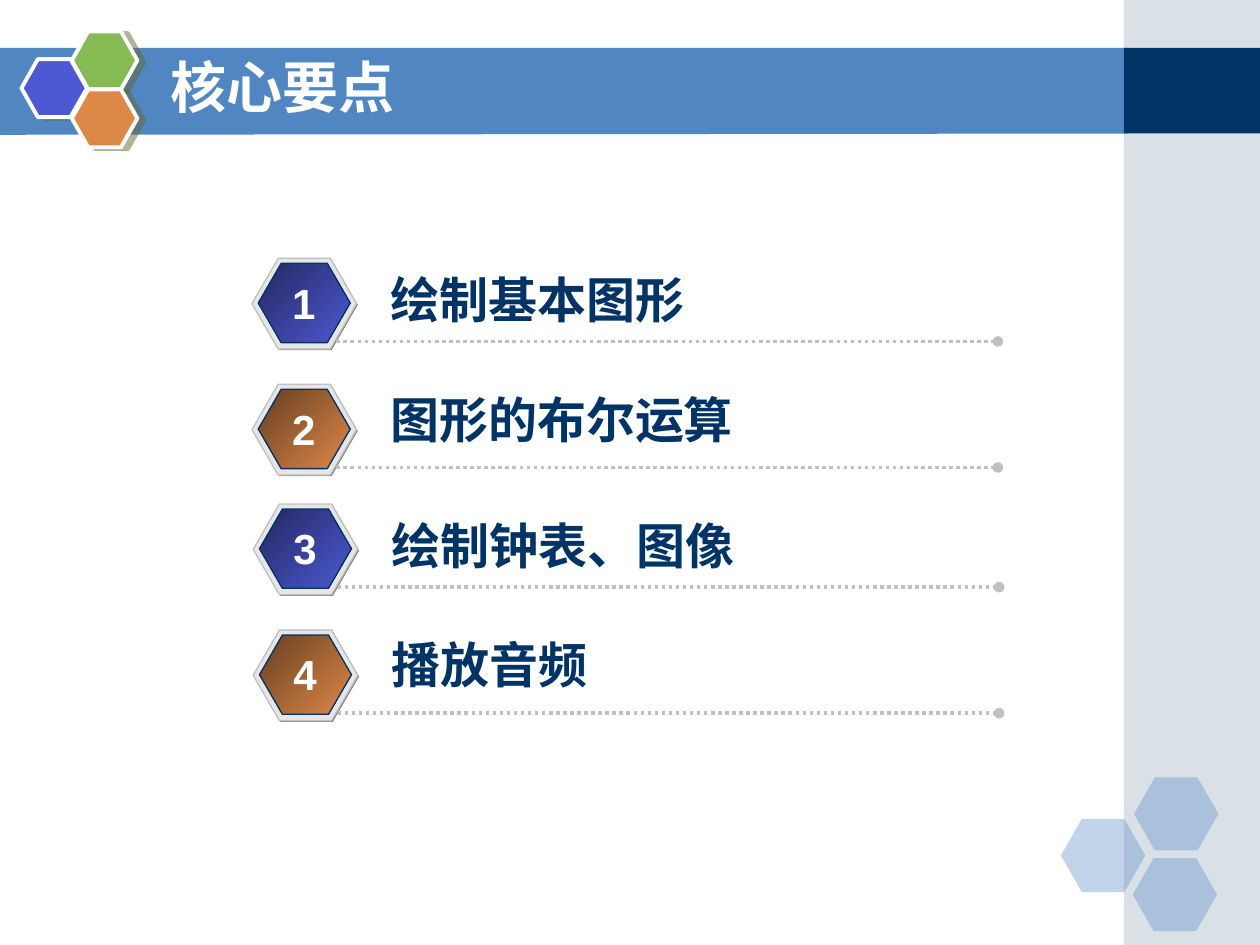
from lxml.etree import SubElement
from pptx import Presentation
from pptx.dml.color import RGBColor
from pptx.enum.dml import MSO_LINE
from pptx.enum.shapes import MSO_CONNECTOR, MSO_SHAPE
from pptx.enum.text import MSO_ANCHOR, PP_ALIGN
from pptx.oxml.ns import qn
from pptx.util import Pt

PX = 9144
NAVY, BLUE, WHITE, SILVER = "003366", "5086C2", "FFFFFF", "C0C0C0"
INDIGO, GREEN, ORANGE = "4C59D2", "85BA54", "DE8848"
ITEMS = ["绘制基本图形", "图形的布尔运算", "绘制钟表、图像", "播放音频"]
SPOTS = [(200, 205), (200, 305), (201, 400), (201, 500)]
SHADES = [("232961", INDIGO), ("673F21", ORANGE)]


def emu(*sizes):
    return [size * PX for size in sizes]


def color(code):
    return RGBColor.from_string(code)


def paint(shape, fill, alpha=100):
    shape.shadow.inherit = False
    shape.line.fill.background()
    shape.fill.solid()
    shape.fill.fore_color.rgb = color(fill)
    if alpha < 100:
        tint = shape.fill._xPr.find(qn("a:solidFill"))[0]
        SubElement(tint, qn("a:alpha"), val=str(alpha * 1000))


def edge(shape, code, width):
    shape.line.color.rgb = color(code)
    shape.line.width = Pt(width)


def add_box(shapes, box, fill, alpha=100):
    shape = shapes.add_shape(MSO_SHAPE.RECTANGLE, *emu(*box))
    paint(shape, fill, alpha)


def add_hex(shapes, box, fill, alpha=100, slant=0.289):
    shape = shapes.add_shape(MSO_SHAPE.HEXAGON, *emu(*box))
    shape.adjustments[0] = slant
    paint(shape, fill, alpha)
    return shape


def cast(shape):
    effects = shape._element.spPr.find(qn("a:effectLst"))
    drop = SubElement(effects, qn("a:outerShdw"), dist=str(Pt(4.1)),
                      dir="840000", algn="ctr", rotWithShape="0")
    tint = SubElement(drop, qn("a:srgbClr"), val="666633")
    SubElement(tint, qn("a:alpha"), val="50000")


def write(para, words, size, code, name="Arial"):
    para.text = words
    font = para.font
    font.size, font.bold, font.name = Pt(size), True, name
    font.color.rgb = color(code)


def add_text(shapes, box, words, size, code, wrap=True):
    frame = shapes.add_textbox(*emu(*box)).text_frame
    frame.word_wrap = wrap
    para = frame.paragraphs[0]
    para.alignment = PP_ALIGN.LEFT if wrap else PP_ALIGN.CENTER
    write(para, words, size, code)


def add_frame(shapes):
    pen = shapes.build_freeform(-1, 38, scale=PX)
    pen.add_line_segments([(895, 38), (895, 106), (-1, 107)])
    paint(pen.convert_to_shape(), BLUE)
    side = shapes.add_group_shape().shapes
    add_box(side, (892, 0, 108, 750), "A0B5C4", 40)
    add_box(side, (892, 38, 108, 68), NAVY)


def add_corner(shapes, left, top):
    for x, y in [(0, 33), (58, 0), (57, 64)]:
        add_hex(shapes, (left + x, top + y, 67, 58), BLUE, 35, 0.286)


def add_emblem(shapes, left, top):
    group = shapes.add_group_shape().shapes
    for x, y, fill in [(0, 22, INDIGO), (40, 0, GREEN), (40, 46, ORANGE)]:
        cell = add_hex(group, (left + x, top + y, 52, 46), fill, slant=0.283)
        edge(cell, WHITE, 2.25)
        cast(cell)


def add_title(shapes, box, words):
    title = shapes.title
    title.left, title.top, title.width, title.height = emu(*box)
    frame = title.text_frame
    frame.vertical_anchor = MSO_ANCHOR.MIDDLE
    para = frame.paragraphs[0]
    para.alignment = PP_ALIGN.LEFT
    write(para, words, 32, WHITE, "Noto Sans CJK SC")
    shapes._spTree.append(title._element)


def add_badge(shapes, left, top, shades):
    group = shapes.add_group_shape().shapes
    add_hex(group, (left + 1, top + 1, 83, 72), "808080")
    rim = add_hex(group, (left, top, 83, 72), "E6E6E6")
    edge(rim, SILVER, 0.75)
    core = add_hex(group, (left + 5, top + 4, 73, 63), shades[0])
    core.fill.gradient()
    core.fill.gradient_angle = 315
    for stop, code in zip(core.fill.gradient_stops, shades):
        stop.color.rgb = color(code)
    edge(core, NAVY, 0.75)


def add_rule(shapes, left, top, width):
    rule = shapes.add_connector(MSO_CONNECTOR.STRAIGHT,
                                *emu(left, top, left + width, top))
    edge(rule, SILVER, 2)
    rule.line.dash_style = MSO_LINE.ROUND_DOT
    SubElement(rule.line._get_or_add_ln(), qn("a:tailEnd"), type="oval")
    SubElement(rule._element.spPr, qn("a:effectLst"))


def add_item(shapes, left, top, index, words):
    odd = index % 2
    add_badge(shapes, left, top, SHADES[odd])
    add_rule(shapes, left + 67, top + 66, 525)
    shift, width = (-1, 475) if odd else (4, 458)
    add_text(shapes, (left + 100, top + shift, width, 57), words, 28, NAVY)
    add_text(shapes, (left + 22, top + 10, 38, 50), str(index + 1), 24,
             WHITE, False)


def main():
    deck = Presentation()
    deck.slide_width, deck.slide_height = emu(1000, 750)
    shapes = deck.slides.add_slide(deck.slide_layouts[5]).shapes
    add_frame(shapes)
    add_corner(shapes, 842, 617)
    add_emblem(shapes, 17, 25)
    add_title(shapes, (125, 33, 733, 70), "核心要点")
    for index, (spot, words) in enumerate(zip(SPOTS, ITEMS)):
        add_item(shapes, *spot, index, words)
    deck.save("out.pptx")


if __name__ == "__main__":
    main()
